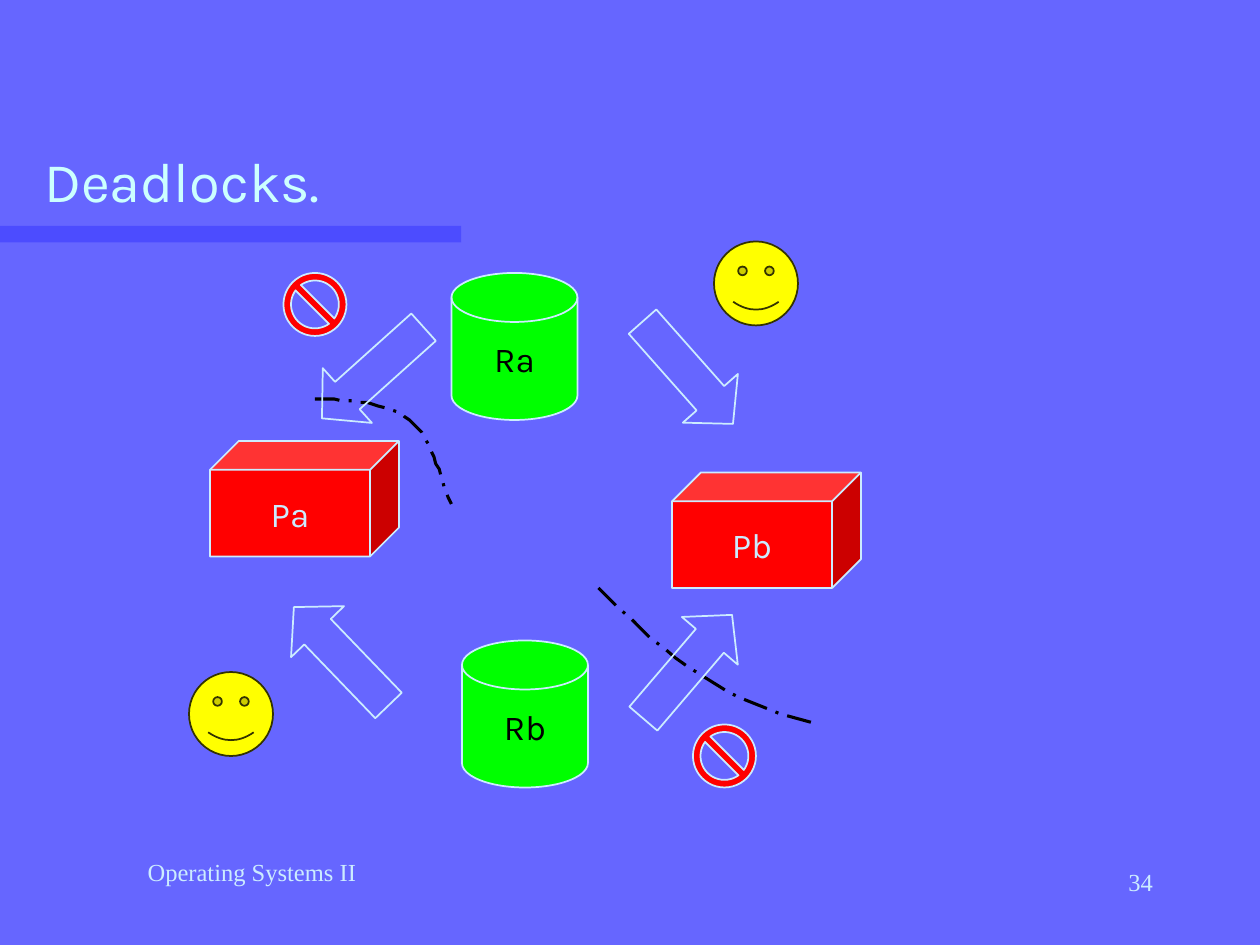
import dataclasses

import pptx
import pptx.dml.color
import pptx.enum.dml
import pptx.enum.shapes
import pptx.enum.text
import pptx.oxml
import pptx.oxml.ns
import pptx.util

Pt = pptx.util.Pt
Shape = pptx.enum.shapes.MSO_SHAPE
Align = pptx.enum.text.PP_ALIGN
Anchor = pptx.enum.text.MSO_ANCHOR


@dataclasses.dataclass(frozen=True)
class Theme:
    background: str = "6666FF"
    bar: str = "3333FF"
    title: str = "CCFFFF"
    pale: str = "CCECFF"
    black: str = "000000"
    process: str = "FF0000"
    resource: str = "00FF00"
    smiley: str = "FFFF00"
    smiley_line: str = "333300"
    heading_font: str = "Karla"
    footer_font: str = "Times New Roman"
    title_size: float = 32
    label_size: float = 20
    footer_size: float = 14


THEME = Theme()


def rgb(color):
    return pptx.dml.color.RGBColor.from_string(color)


def write_text(shape, text, *, size, color, font=THEME.heading_font,
               align=Align.LEFT, anchor=Anchor.TOP, wrap=True):
    frame = shape.text_frame
    frame.auto_size = pptx.enum.text.MSO_AUTO_SIZE.NONE
    frame.word_wrap = wrap
    frame.vertical_anchor = anchor
    paragraph = frame.paragraphs[0]
    paragraph.alignment = align
    run = paragraph.add_run()
    run.text = text
    run.font.name = font
    run.font.size = Pt(size)
    run.font.color.rgb = rgb(color)


def paint(shape, fill=None, line=None, width=1):
    shape.shadow.inherit = False
    if fill:
        shape.fill.solid()
        shape.fill.fore_color.rgb = rgb(fill)
    else:
        shape.fill.background()
    if line:
        shape.line.color.rgb = rgb(line)
        shape.line.width = Pt(width)
    else:
        shape.line.fill.background()


def add_preset(slide, kind, box, fill=None, line=THEME.pale, adjustments=(), rotation=0):
    shape = slide.shapes.add_shape(kind, *map(Pt, box))
    paint(shape, fill, line)
    for index, value in enumerate(adjustments):
        shape.adjustments[index] = value
    shape.rotation = rotation
    return shape


def add_node(slide, kind, box, text, fill, color):
    shape = add_preset(slide, kind, box, fill)
    write_text(shape, text, size=THEME.label_size, color=color,
               align=Align.CENTER, anchor=Anchor.MIDDLE, wrap=False)


def add_title(slide, text):
    title = slide.shapes.title
    title.left, title.top, title.width, title.height = map(Pt, (18, 36, 612, 90))
    write_text(title, text, size=THEME.title_size, color=THEME.title, anchor=Anchor.BOTTOM)


def add_title_bar(slide):
    bar = add_preset(slide, Shape.RECTANGLE, (0, 129, 263.5, 9.5), THEME.bar, line=None)
    color = bar.fill._xPr.find(".//" + pptx.oxml.ns.qn("a:srgbClr"))
    namespace = pptx.oxml.ns.nsdecls("a")
    color.append(pptx.oxml.parse_xml(f'<a:alpha {namespace} val="50000"/>'))


def add_footer(slide, text, box, align):
    footer = slide.shapes.add_textbox(*map(Pt, box))
    write_text(footer, text, size=THEME.footer_size, color=THEME.pale,
               font=THEME.footer_font, align=align)


def bezier_point(start, first, second, end, t):
    weights = ((1 - t) ** 3, 3 * t * (1 - t) ** 2, 3 * t ** 2 * (1 - t), t ** 3)
    points = (start, first, second, end)
    return tuple(sum(w * p[axis] for w, p in zip(weights, points)) for axis in (0, 1))


def add_curve(slide, start, *segments, steps=16):
    points = []
    current = start
    for first, second, end in segments:
        points += [bezier_point(current, first, second, end, step / steps)
                   for step in range(1, steps + 1)]
        current = end
    builder = slide.shapes.build_freeform(*start, scale=Pt(1))
    builder.add_line_segments(points, close=False)
    curve = builder.convert_to_shape()
    paint(curve, line=THEME.black, width=1.75)
    curve.line.dash_style = pptx.enum.dml.MSO_LINE.LONG_DASH_DOT


def main():
    presentation = pptx.Presentation()
    presentation.slide_width, presentation.slide_height = Pt(720), Pt(540)
    slide = presentation.slides.add_slide(presentation.slide_layouts[5])
    slide.background.fill.solid()
    slide.background.fill.fore_color.rgb = rgb(THEME.background)

    add_title_bar(slide)
    add_footer(slide, "Operating Systems II", (30, 486, 228, 36), Align.CENTER)
    add_footer(slide, "34", (516, 492, 150, 36), Align.RIGHT)
    add_title(slide, "Deadlocks.")

    for text, left, top in (("Pa", 120, 252), ("Pb", 384, 270)):
        add_node(slide, Shape.CUBE, (left, top, 108, 66), text, THEME.process, THEME.pale)
    for text, left, top in (("Ra", 258, 156), ("Rb", 264, 366)):
        add_node(slide, Shape.FLOWCHART_MAGNETIC_DISK, (left, top, 72, 84), text,
                 THEME.resource, THEME.black)
    for left, top in ((108, 384), (408, 138)):
        add_preset(slide, Shape.SMILEY_FACE, (left, top, 48, 48), THEME.smiley,
                   THEME.smiley_line)

    add_curve(slide, (180, 228),
              ((200, 228.5), (221, 229.5), (234, 240)),
              ((247, 250), (254, 280), (258, 288)))
    add_curve(slide, (342, 336), ((373.5, 367), (405, 399), (468, 414)))

    for left, top, rotation in ((156, 354, 226.1), (354, 192, 48.5),
                                (354, 360, 310.5), (174, 192, 138.1)):
        add_preset(slide, Shape.RIGHT_ARROW, (left, top, 78, 42),
                   adjustments=(0.5, 0.464), rotation=rotation)
    for left, top in ((162, 156), (396, 414)):
        add_preset(slide, Shape.NO_SYMBOL, (left, top, 36, 36), THEME.process,
                   adjustments=(0.12,))

    presentation.save("out.pptx")


if __name__ == "__main__":
    main()
